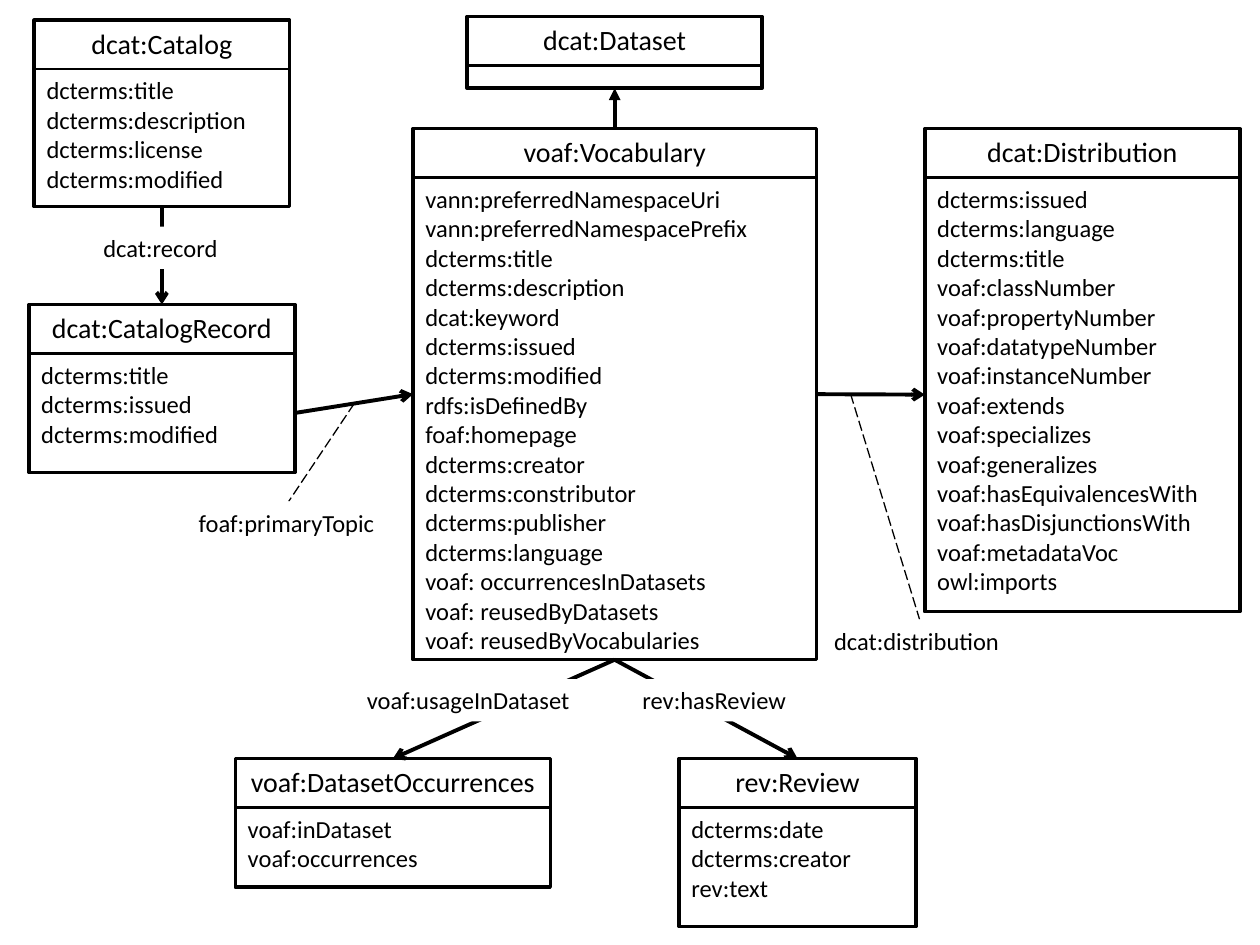
from pptx import Presentation
from pptx.dml.color import RGBColor
from pptx.enum import dml, shapes, text
from pptx.oxml.ns import qn
from pptx.util import Pt
from lxml import etree

BLACK = RGBColor(0, 0, 0)
WHITE = RGBColor(255, 255, 255)
HEADER = 28
TOP, LEFT, BOTTOM, RIGHT = range(4)

CLASSES = {
    "dcat:Catalog": (19.5, 11.5, 146, 106.5, [
        "dcterms:title", "dcterms:description", "dcterms:license", "dcterms:modified"]),
    "dcat:CatalogRecord": (16.5, 174, 152, 96, [
        "dcterms:title", "dcterms:issued", "dcterms:modified"]),
    "dcat:Dataset": (267, 9.5, 168.5, 41, []),
    "voaf:Vocabulary": (236, 73.5, 230.5, 303.5, [
        "vann:preferredNamespaceUri", "vann:preferredNamespacePrefix", "dcterms:title",
        "dcterms:description", "dcat:keyword", "dcterms:issued", "dcterms:modified",
        "rdfs:isDefinedBy", "foaf:homepage", "dcterms:creator", "dcterms:constributor",
        "dcterms:publisher", "dcterms:language", "voaf: occurrencesInDatasets",
        "voaf: reusedByDatasets", "voaf: reusedByVocabularies"]),
    "dcat:Distribution": (528.5, 73.5, 180, 276, [
        "dcterms:issued", "dcterms:language", "dcterms:title", "voaf:classNumber",
        "voaf:propertyNumber", "voaf:datatypeNumber", "voaf:instanceNumber",
        "voaf:extends", "voaf:specializes", "voaf:generalizes",
        "voaf:hasEquivalencesWith", "voaf:hasDisjunctionsWith", "voaf:metadataVoc",
        "owl:imports"]),
    "voaf:DatasetOccurrences": (134.5, 433.5, 180, 73.5, [
        "voaf:inDataset", "voaf:occurrences"]),
    "rev:Review": (388, 433.5, 135.5, 96, [
        "dcterms:date", "dcterms:creator", "rev:text"]),
}

prs = Presentation()
prs.slide_width, prs.slide_height = Pt(720), Pt(540)
slide = prs.slides.add_slide(prs.slide_layouts[6])


def add_text(lines, x, y, w, h, size=14, align=text.PP_ALIGN.LEFT,
             fill=None, outline=None, wrap=True):
    box = slide.shapes.add_shape(shapes.MSO_SHAPE.RECTANGLE, Pt(x), Pt(y), Pt(w), Pt(h))
    box.shadow.inherit = False
    if fill is None:
        box.fill.background()
    else:
        box.fill.solid()
        box.fill.fore_color.rgb = fill
    if outline is None:
        box.line.fill.background()
    else:
        box.line.color.rgb = BLACK
        box.line.width = Pt(outline)
    frame = box.text_frame
    frame.word_wrap = wrap
    frame.vertical_anchor = text.MSO_ANCHOR.TOP
    frame.text = "\n".join(lines)
    for paragraph in frame.paragraphs:
        paragraph.alignment = align
        paragraph.font.name = "Calibri"
        paragraph.font.size = Pt(size)
        paragraph.font.color.rgb = BLACK
    return box


def add_line(x1=0, y1=0, x2=0, y2=0, width=1.5, head=None, dashed=False):
    line = slide.shapes.add_connector(
        shapes.MSO_CONNECTOR.STRAIGHT, Pt(x1), Pt(y1), Pt(x2), Pt(y2))
    line.line.color.rgb = BLACK
    line.line.width = Pt(width)
    if dashed:
        line.line.dash_style = dml.MSO_LINE.LONG_DASH
    properties = line._element.spPr
    if head:
        etree.SubElement(properties.find(qn("a:ln")), qn("a:tailEnd"), type=head)
    etree.SubElement(properties, qn("a:effectLst"))
    return line


frames, bodies = {}, {}
for name, (x, y, w, h, attributes) in CLASSES.items():
    frames[name] = add_text([name], x, y, w, h, size=16,
                            align=text.PP_ALIGN.CENTER, outline=2)
    if attributes:
        bodies[name] = add_text(attributes, x, y + HEADER, w, h - HEADER)
    add_line(x, y + HEADER, x + w, y + HEADER)

vocabulary = frames["voaf:Vocabulary"]
relations = [
    (frames["dcat:Catalog"], BOTTOM, frames["dcat:CatalogRecord"], TOP, "arrow"),
    (bodies["dcat:CatalogRecord"], RIGHT, vocabulary, LEFT, "arrow"),
    (vocabulary, TOP, frames["dcat:Dataset"], BOTTOM, "triangle"),
    (vocabulary, RIGHT, bodies["dcat:Distribution"], LEFT, "arrow"),
    (vocabulary, BOTTOM, frames["voaf:DatasetOccurrences"], TOP, "arrow"),
    (vocabulary, BOTTOM, frames["rev:Review"], TOP, "arrow"),
]
for source, source_side, target, target_side, head in relations:
    relation = add_line(width=2.25, head=head)
    relation.begin_connect(source, source_side)
    relation.end_connect(target, target_side)

for leader in [(202.5, 230.5, 165, 286.5), (486, 225, 525.5, 354)]:
    add_line(*leader, width=0.75, dashed=True)

for label, x, y, w in [
    ("dcat:record", 52, 129.5, 81.5),
    ("foaf:primaryTopic", 106.5, 286.5, 116),
    ("dcat:distribution", 469.5, 354, 112.5),
    ("voaf:usageInDataset", 202.5, 388, 132),
    ("rev:hasReview", 360, 388, 98),
]:
    add_text([label], x, y, w, 24.25, fill=WHITE, wrap=False)

prs.save("out.pptx")
